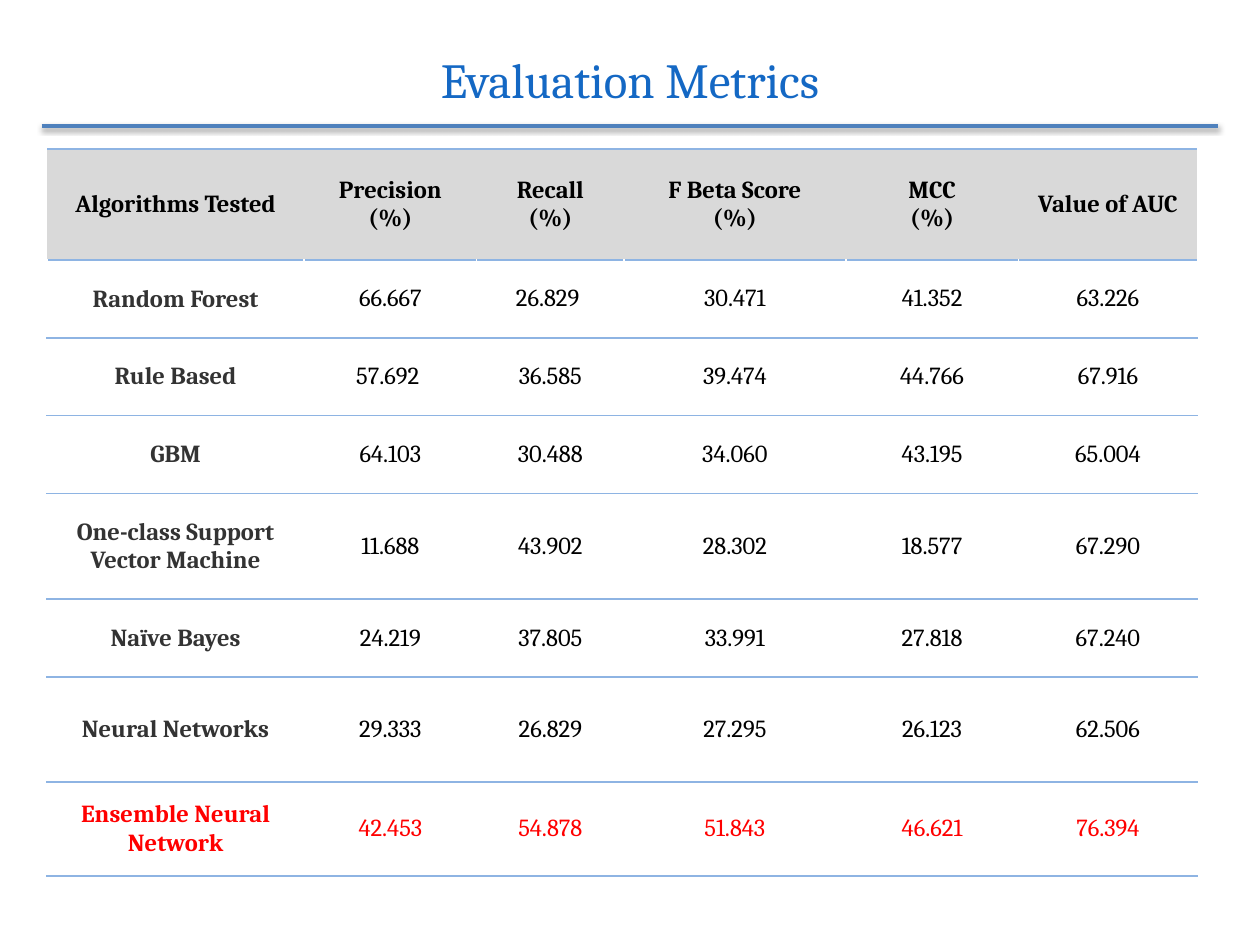
from lxml import etree
from pptx import Presentation
from pptx.dml.color import RGBColor
from pptx.enum.shapes import MSO_CONNECTOR as Connector
from pptx.enum.text import MSO_ANCHOR as Anchor, PP_ALIGN as Align
from pptx.oxml.ns import qn
from pptx.util import Cm, Pt

FONT = "Cambria"
WHITE = RGBColor(0xFF, 0xFF, 0xFF)
BLACK = RGBColor(0x00, 0x00, 0x00)
DARK_GRAY = RGBColor(0x33, 0x33, 0x33)
HEADER_GRAY = RGBColor(0xD9, 0xD9, 0xD9)
RED = RGBColor(0xFF, 0x00, 0x00)
TITLE_BLUE = RGBColor(0x14, 0x68, 0xC4)
RULE_BLUE = RGBColor(0x4F, 0x81, 0xBD)
BORDER_BLUE = RGBColor(0x8E, 0xB4, 0xE3)

COLUMN_WIDTHS = [5.18, 3.48, 2.97, 4.47, 3.48, 3.61]
ROW_HEIGHTS = [2.24, 1.57, 1.57, 1.57, 2.13, 1.57, 2.11, 1.9]
ROWS = [
    ["Algorithms Tested", "Precision\n(%)", "Recall\n(%)",
     "F Beta Score\n(%)", "MCC\n(%)", "Value of AUC"],
    ["Random Forest", "66.667", "26.829 ", "30.471", "41.352", "63.226"],
    ["Rule Based", "57.692 ", "36.585", "39.474", "44.766", "67.916"],
    ["GBM", "64.103", "30.488", "34.060", "43.195", "65.004"],
    ["One-class Support Vector Machine",
     "11.688", "43.902", "28.302", "18.577", "67.290"],
    ["Naïve Bayes", "24.219", "37.805", "33.991", "27.818", "67.240"],
    ["Neural Networks", "29.333", "26.829", "27.295", "26.123", "62.506"],
    ["Ensemble Neural Network",
     "42.453", "54.878", "51.843", "46.621", "76.394"],
]


def write_lines(text_frame, text, size, color, bold=False, spacing=None):
    for index, line in enumerate(text.split("\n")):
        paragraph = (text_frame.add_paragraph() if index
                     else text_frame.paragraphs[0])
        paragraph.alignment = Align.CENTER
        paragraph.line_spacing = spacing
        run = paragraph.add_run()
        run.text = line
        run.font.name = FONT
        run.font.size = Pt(size)
        run.font.bold = bold
        run.font.color.rgb = color


def set_borders(cell, side_width):
    """Draw white sides and blue top and bottom edges."""
    borders = [("a:lnL", WHITE, side_width), ("a:lnR", WHITE, side_width),
               ("a:lnT", BORDER_BLUE, 1), ("a:lnB", BORDER_BLUE, 1)]
    properties = cell._tc.get_or_add_tcPr()
    for position, (tag, color, width) in enumerate(borders):
        line = etree.Element(qn(tag), w=str(int(Pt(width))))
        fill = etree.SubElement(line, qn("a:solidFill"))
        etree.SubElement(fill, qn("a:srgbClr"), val=str(color))
        properties.insert(position, line)


presentation = Presentation()
presentation.slide_width = Cm(25.4)
presentation.slide_height = Cm(19.05)
slide = presentation.slides.add_slide(presentation.slide_layouts[6])

# Title
title = slide.shapes.add_textbox(Cm(1.27), Cm(0), Cm(22.86), Cm(3.18))
title.text_frame.word_wrap = True
title.text_frame.vertical_anchor = Anchor.MIDDLE
write_lines(title.text_frame, "Evaluation Metrics", 28, TITLE_BLUE)

# Metrics table
table = slide.shapes.add_table(
    len(ROWS), len(COLUMN_WIDTHS), Cm(0.95), Cm(3),
    Cm(sum(COLUMN_WIDTHS)), Cm(sum(ROW_HEIGHTS))).table
table.first_row = False
table.horz_banding = False
for column, width in zip(table.columns, COLUMN_WIDTHS):
    column.width = Cm(width)
for row, height in zip(table.rows, ROW_HEIGHTS):
    row.height = Cm(height)

for row_index, values in enumerate(ROWS):
    is_header = row_index == 0
    is_best = row_index == len(ROWS) - 1
    for column_index, value in enumerate(values):
        is_label = column_index == 0
        if is_best:
            color = RED
        elif is_label and not is_header:
            color = DARK_GRAY
        else:
            color = BLACK
        cell = table.cell(row_index, column_index)
        cell.vertical_anchor = Anchor.MIDDLE
        cell.fill.solid()
        cell.fill.fore_color.rgb = HEADER_GRAY if is_header else WHITE
        set_borders(cell, 0.03 if is_header else 1)
        emphasized = is_header or is_label
        write_lines(cell.text_frame, value, 14, color, emphasized,
                    1.01 if emphasized else None)

# Rule under the title, with a soft shadow
rule = slide.shapes.add_connector(
    Connector.STRAIGHT, Cm(0.84), Cm(2.54), Cm(24.56), Cm(2.54))
rule.line.color.rgb = RULE_BLUE
rule.line.width = Pt(2)
effects = etree.SubElement(rule._element.spPr, qn("a:effectLst"))
shadow = etree.SubElement(
    effects, qn("a:outerShdw"), blurRad=str(int(Pt(3.1))),
    dist=str(int(Pt(1.6))), dir="5400000", rotWithShape="0")
shadow_color = etree.SubElement(shadow, qn("a:srgbClr"), val=str(BLACK))
etree.SubElement(shadow_color, qn("a:alpha"), val="38000")

presentation.save("out.pptx")
